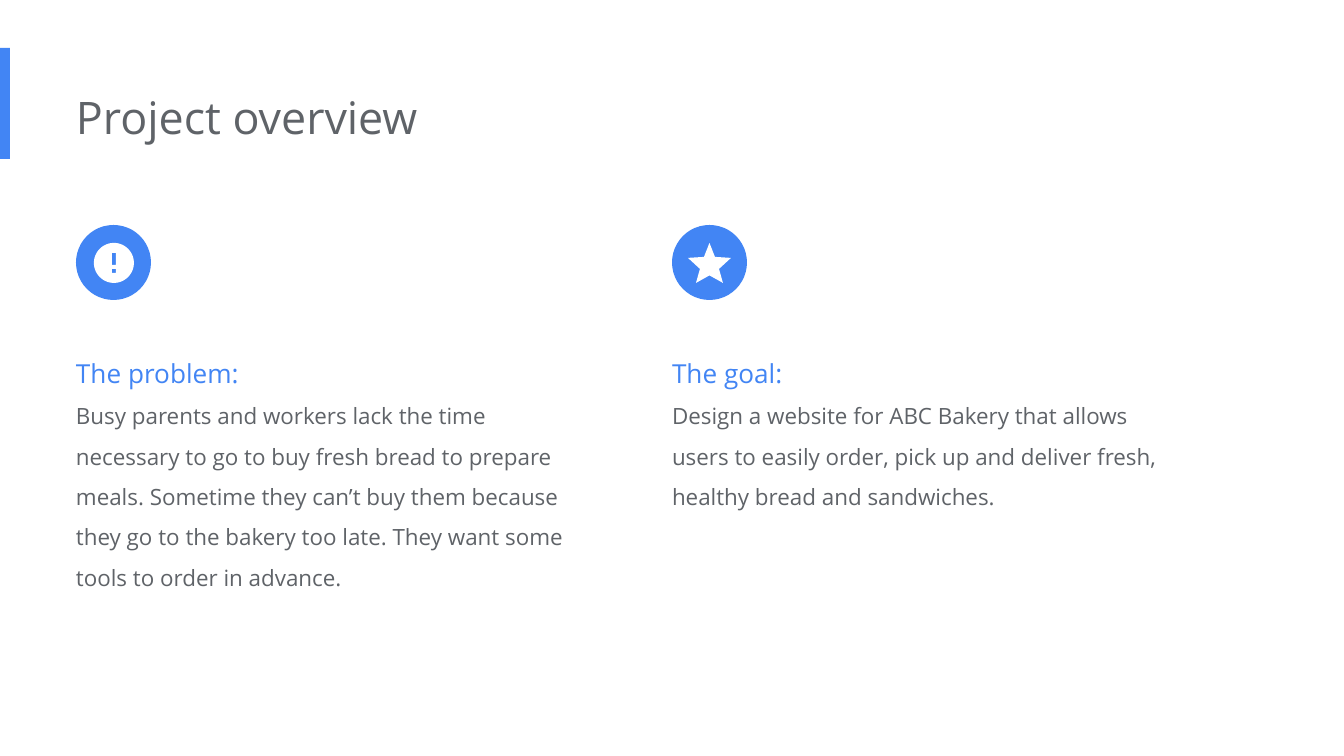
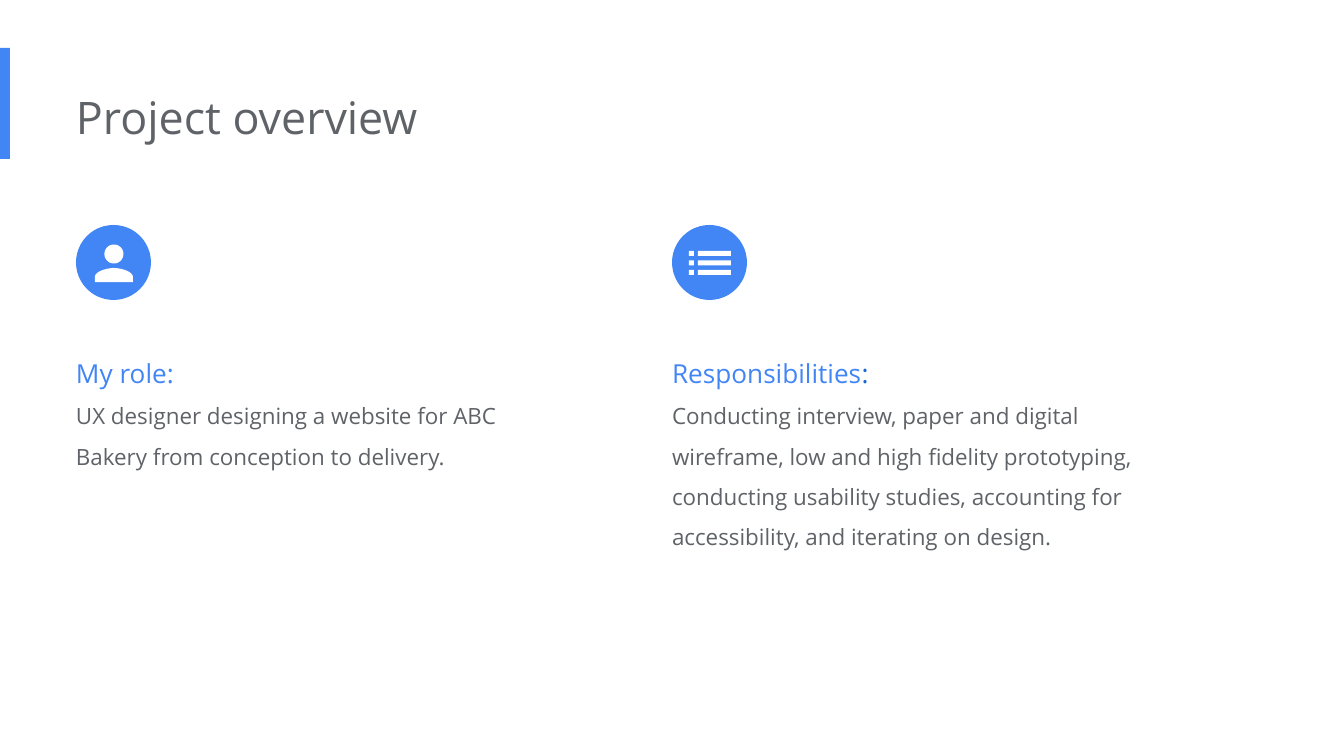
import math

import lxml.etree
import pptx
import pptx.dml.color
import pptx.enum.shapes
import pptx.enum.text
import pptx.oxml.ns
import pptx.util

# Palette and shared measures (px)
BLUE = pptx.dml.color.RGBColor(0x42, 0x85, 0xF4)
DEEP_BLUE = pptx.dml.color.RGBColor(0x19, 0x67, 0xD2)
GRAY = pptx.dml.color.RGBColor(0x5F, 0x63, 0x68)
WHITE = pptx.dml.color.RGBColor(0xFF, 0xFF, 0xFF)
FONT = "Open Sans"
PX = 914400 / 134.4
PAGE_SIZE = (1344, 756)
COLUMNS = (76, 672)
COLUMN_WIDTH, TEXT_TOP = 507, 329
BADGE_TOP, BADGE_SIZE = 225, 75
INSET = 13


def px(length):
    return pptx.util.Emu(round(length * PX))


# Outlines, measured from the top left of a badge
def rectangle(left, top, width, height):
    right, bottom = left + width, top + height
    return [(left, top), (right, top), (right, bottom), (left, bottom)]


def disc(x, y, radius, steps=72):
    angles = [2 * math.pi * step / steps for step in range(steps)]
    return [(x + radius * math.cos(a), y + radius * math.sin(a)) for a in angles]


def curve(start, control1, control2, end, steps=16):
    points = []
    for step in range(steps + 1):
        t = step / steps
        weights = ((1 - t) ** 3, 3 * t * (1 - t) ** 2, 3 * t * t * (1 - t), t ** 3)
        corners = zip(*(start, control1, control2, end))
        points.append(tuple(sum(w * c for w, c in zip(weights, axis)) for axis in corners))
    return points


def mirrored(half, axis):
    return half + [(2 * axis - x, y) for x, y in reversed(half)]


ALERT = [disc(38, 38, 20), rectangle(36, 28, 4, 12), rectangle(36, 44, 4, 4)]
STAR = [mirrored([(37.5, 18), (43, 32), (59, 33), (47, 44), (51, 58), (37.5, 50.5)], 37.5)]
PERSON = [
    disc(38, 29, 9.5),
    mirrored(curve((38, 43), (44, 43), (57, 46), (57, 52)) + [(57, 57)], 38),
]
CHECKLIST = [
    rectangle(left, 26 + 9.5 * row, width, 5)
    for row in range(3)
    for left, width in ((17, 5), (26, 33))
]


class Deck:
    """Holds the presentation style and the current page."""

    def __init__(self):
        self.deck = pptx.Presentation()
        self.deck.slide_width, self.deck.slide_height = map(px, PAGE_SIZE)
        self.layout = self.deck.slide_layouts.get_by_name("Two Content")
        self.page = None

    def add_page(self, title):
        first = self.page is None
        self.page = self.deck.slides.add_slide(self.layout)
        if first:
            self.add_band()
        self.fill_box(self.page.shapes.title, (COLUMNS[0], 77, 905, 82),
                      [[(title, 24, GRAY)]], 1)

    def paint(self, shape, color):
        shape.shadow.inherit = False
        shape.fill.solid()
        shape.fill.fore_color.rgb = color
        shape.line.fill.background()

    def add_band(self):
        """Draw the accent band and move it to the shared layout."""
        band = self.page.shapes.add_shape(
            pptx.enum.shapes.MSO_SHAPE.RECTANGLE, *map(px, (0, 48, 10, 111)))
        self.paint(band, BLUE)
        self.layout.shapes.element.append(band.element)

    def fill_box(self, box, place, paragraphs, line_spacing):
        for name, length in zip(("left", "top", "width", "height"), place):
            setattr(box, name, px(length))
        frame = box.text_frame
        frame_format = {
            "margin_left": 0, "margin_top": px(INSET),
            "margin_right": px(INSET), "margin_bottom": px(INSET),
            "word_wrap": True,
            "vertical_anchor": pptx.enum.text.MSO_ANCHOR.TOP,
            "auto_size": pptx.enum.text.MSO_AUTO_SIZE.SHAPE_TO_FIT_TEXT,
        }
        for name, value in frame_format.items():
            setattr(frame, name, value)
        for number, spans in enumerate(paragraphs):
            para = frame.add_paragraph() if number else frame.paragraphs[0]
            self.fill_paragraph(para, spans, line_spacing)

    def fill_paragraph(self, para, spans, line_spacing):
        properties = para._p.get_or_add_pPr()
        properties.set("marL", "0")
        properties.set("indent", "0")
        lxml.etree.SubElement(properties, pptx.oxml.ns.qn("a:buNone"))
        para_format = {
            "alignment": pptx.enum.text.PP_ALIGN.LEFT,
            "line_spacing": line_spacing,
            "space_before": pptx.util.Pt(0),
        }
        for name, value in para_format.items():
            setattr(para, name, value)
        for text, size, color in spans:
            span = para.add_run()
            span.text = text
            for name, value in {"name": FONT, "size": pptx.util.Pt(size)}.items():
                setattr(span.font, name, value)
            span.font.color.rgb = color

    def add_badge(self, left, outlines):
        badge = self.page.shapes.add_shape(
            pptx.enum.shapes.MSO_SHAPE.OVAL,
            *map(px, (left, BADGE_TOP, BADGE_SIZE, BADGE_SIZE)))
        self.paint(badge, BLUE)
        builder = None
        for outline in outlines:
            start, *rest = [(px(x), px(y)) for x, y in outline]
            if builder is None:
                builder = self.page.shapes.build_freeform(*start)
            else:
                builder.move_to(*start)
            builder.add_line_segments(rest, close=True)
        self.paint(builder.convert_to_shape(px(left), px(BADGE_TOP)), WHITE)

    def add_column(self, number, outlines, heading, text, height):
        left = COLUMNS[number]
        spans = [(words, 14, color) for words, color in heading]
        self.fill_box(self.page.placeholders[number + 1],
                      (left, TEXT_TOP, COLUMN_WIDTH, height),
                      [spans, [(text, 12, GRAY)]], 1.5)
        self.add_badge(left, outlines)


# Each page: two columns of icon, heading, text and text height
PAGES = [
    [
        (ALERT, [("The problem:", BLUE)],
         "Busy parents and workers lack the time necessary to go to buy fresh bread "
         "to prepare meals. Sometime they can’t buy them because they go to the bakery "
         "too late. They want some tools to order in advance.", 319),
        (STAR, [("The goal:", BLUE)],
         "Design a website for ABC Bakery that allows users to easily order, pick up "
         "and deliver fresh, healthy bread and sandwiches.", 238),
    ],
    [
        (PERSON, [("My role:", BLUE)],
         "UX designer designing a website for ABC Bakery from conception to delivery.",
         156),
        (CHECKLIST, [("Responsibilities", BLUE), (":", DEEP_BLUE)],
         "Conducting interview, paper and digital wireframe, low and high fidelity "
         "prototyping, conducting usability studies, accounting for accessibility, "
         "and iterating on design.", 278),
    ],
]


def main():
    deck = Deck()
    for columns in PAGES:
        deck.add_page("Project overview")
        for number, column in enumerate(columns):
            deck.add_column(number, *column)
    deck.deck.save("out.pptx")


if __name__ == "__main__":
    main()
